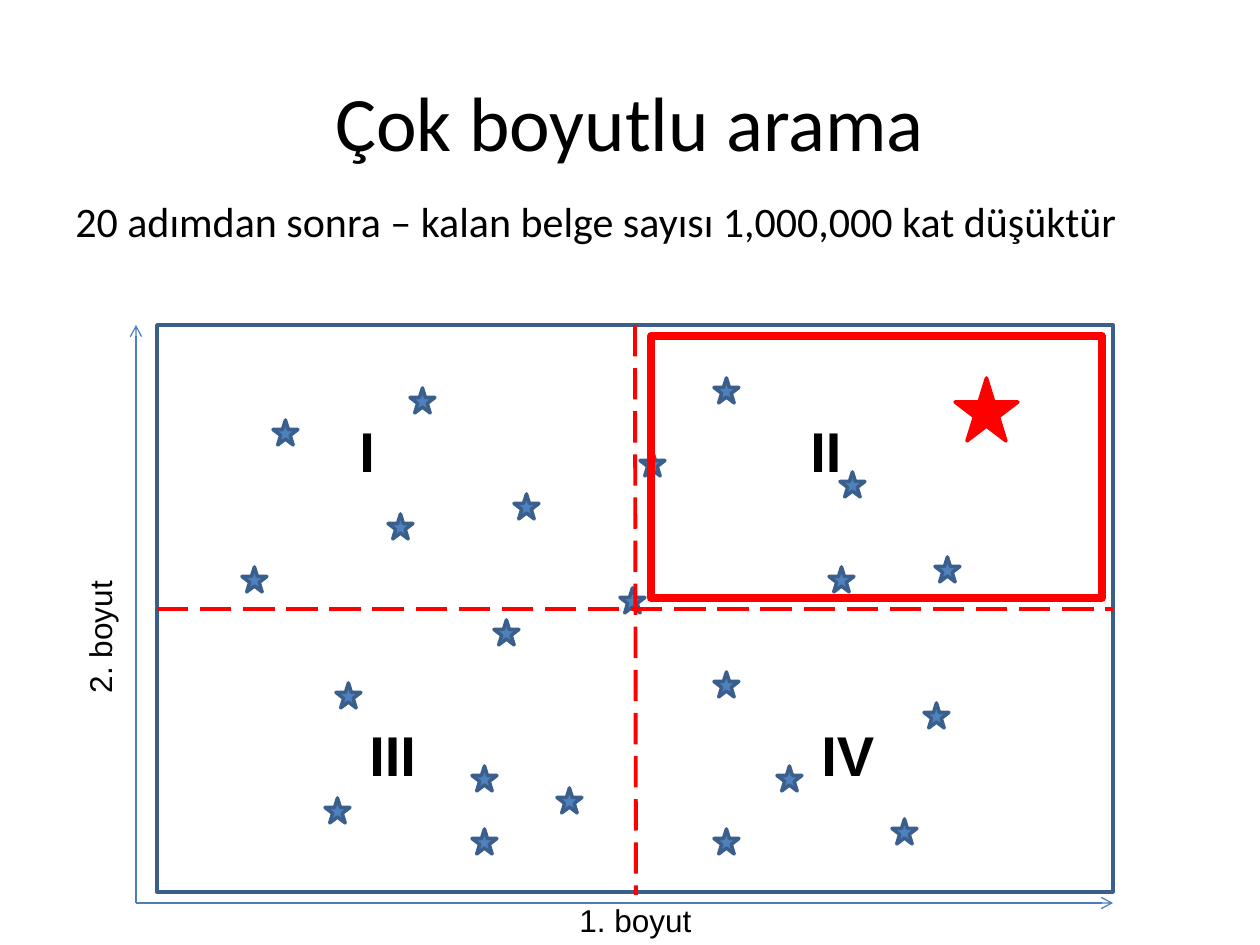
import pptx
import pptx.util
import pptx.dml.color
import pptx.enum.dml
import pptx.enum.shapes
import pptx.enum.text
import pptx.oxml.ns
import lxml.etree

SCALE = 914400 / 126
COLORS = {"text": "000000", "star": "4F81BD", "outline": "3A5F8C",
          "axis": "4B7EBC", "highlight": "FF0000"}

TITLE = ("Çok boyutlu arama", (63, 42, 1134, 157))
SUBTITLE = ("20 adımdan sonra – kalan belge sayısı 1,000,000 kat düşüktür", (63, 189, 1134, 105))
AXIS_LABELS = [("1. boyut", (567, 895, 139, 50), 0), ("2. boyut", (30, 611, 139, 50), 270)]
QUADRANTS = [("I", 347, 410), ("II", 798, 410), ("III", 357, 714), ("IV", 809, 714)]
QUADRANT_SIZE = (87, 81)

SPACE = (157, 325, 956, 567)
SELECTED = (651, 336, 451, 262)
STAR_SIZE = 25
STARS = [
    (273, 420), (410, 388), (714, 378), (242, 567), (829, 567), (514, 494),
    (336, 683), (472, 766), (388, 514), (620, 588), (924, 703), (714, 672),
    (840, 472), (494, 620), (557, 788), (640, 451), (777, 766), (472, 829),
    (892, 819), (935, 557), (325, 798), (714, 829),
]
QUERY_STAR = (955, 378, 63, 63)
ORIGIN = (136, 903)
AXES = [(ORIGIN, (1113, 903)), (ORIGIN, (136, 325))]
SPLITS = [((635, 325), (636, 895)), ((157, 609), (1113, 609))]

SHAPES = pptx.enum.shapes.MSO_SHAPE
ALIGN = pptx.enum.text.PP_ALIGN
ANCHOR = pptx.enum.text.MSO_ANCHOR


def emu(pixels):
    return pptx.util.Emu(round(pixels * SCALE))


def color(name):
    return pptx.dml.color.RGBColor.from_string(COLORS[name])


def set_line(line, name, width):
    line.color.rgb = color(name)
    line.width = pptx.util.Pt(width)


def add_shape(kind, box, line, width, fill=None):
    shape = slide.shapes.add_shape(kind, *map(emu, box))
    shape.shadow.inherit = False
    if fill:
        shape.fill.solid()
        shape.fill.fore_color.rgb = color(fill)
    else:
        shape.fill.background()
    set_line(shape.line, line, width)


def add_text(text, box, size, font, bold=False, align=ALIGN.LEFT,
             anchor=ANCHOR.TOP, wrap=True, rotation=0):
    shape = slide.shapes.add_textbox(*map(emu, box))
    shape.rotation = rotation
    frame = shape.text_frame
    frame.word_wrap = wrap
    frame.vertical_anchor = anchor
    paragraph = frame.paragraphs[0]
    paragraph.alignment = align
    run = paragraph.add_run()
    run.text = text
    run.font.name = font
    run.font.size = pptx.util.Pt(size)
    run.font.bold = bold
    run.font.color.rgb = color("text")


def add_line(start, end, name, width, dashed=False, arrow=False):
    connector = slide.shapes.add_connector(
        pptx.enum.shapes.MSO_CONNECTOR.STRAIGHT, *map(emu, start + end))
    set_line(connector.line, name, width)
    if dashed:
        connector.line.dash_style = pptx.enum.dml.MSO_LINE.LONG_DASH
    if arrow:
        lxml.etree.SubElement(connector.line._get_or_add_ln(),
                              pptx.oxml.ns.qn("a:tailEnd"), type="arrow")
    lxml.etree.SubElement(connector._element.spPr, pptx.oxml.ns.qn("a:effectLst"))


presentation = pptx.Presentation()
presentation.slide_width = emu(1260)
presentation.slide_height = emu(945)
slide = presentation.slides.add_slide(presentation.slide_layouts[6])

add_text(*TITLE, 44, "Calibri", align=ALIGN.CENTER, anchor=ANCHOR.MIDDLE)
add_text(*SUBTITLE, 24, "Calibri")

add_shape(SHAPES.RECTANGLE, SPACE, "outline", 2)
for left, top in STARS:
    add_shape(SHAPES.STAR_5_POINT, (left, top, STAR_SIZE, STAR_SIZE), "outline", 2, "star")

for start, end in AXES:
    add_line(start, end, "axis", 0.75, arrow=True)
for text, box, rotation in AXIS_LABELS:
    add_text(text, box, 18, "Arial", wrap=False, rotation=rotation)

for start, end in SPLITS:
    add_line(start, end, "highlight", 2.25, dashed=True)
for text, left, top in QUADRANTS:
    add_text(text, (left, top) + QUADRANT_SIZE, 32, "Arial", bold=True)

add_shape(SHAPES.STAR_5_POINT, QUERY_STAR, "highlight", 2, "highlight")
add_shape(SHAPES.RECTANGLE, SELECTED, "highlight", 4.5)

presentation.save("out.pptx")
